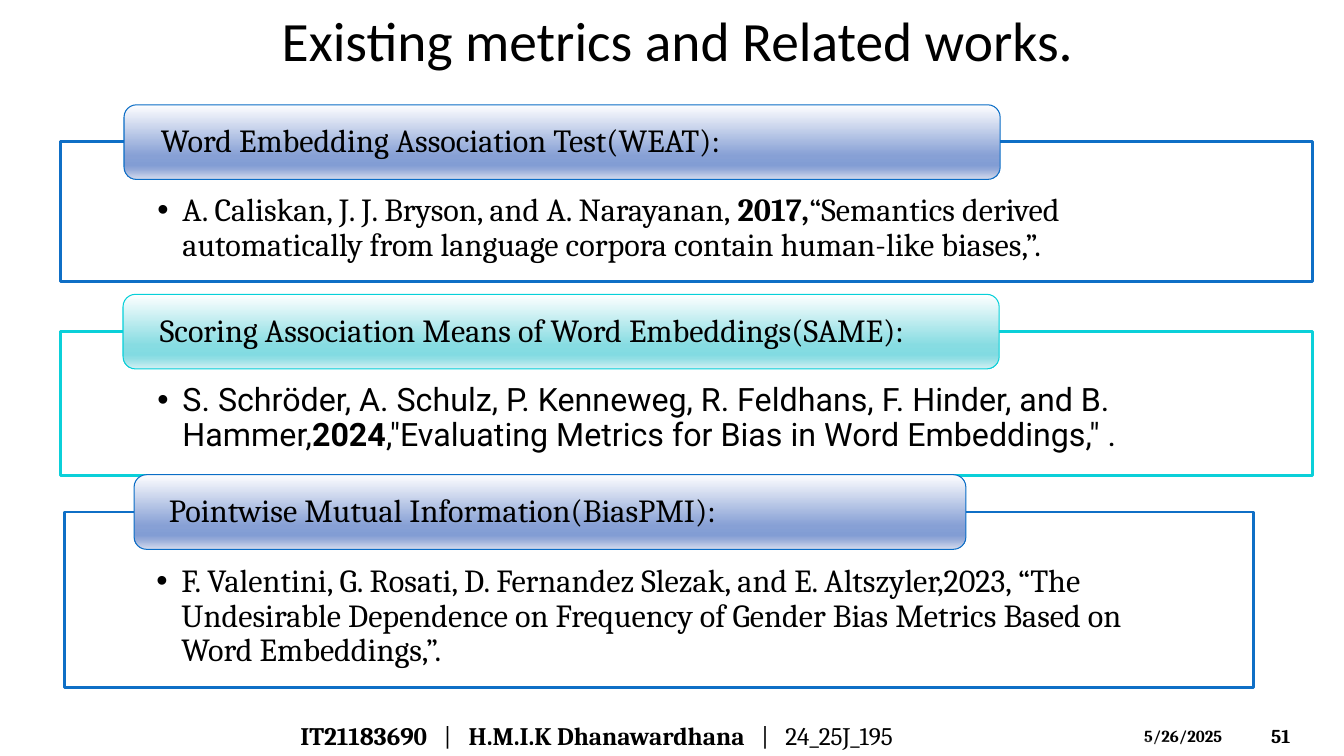
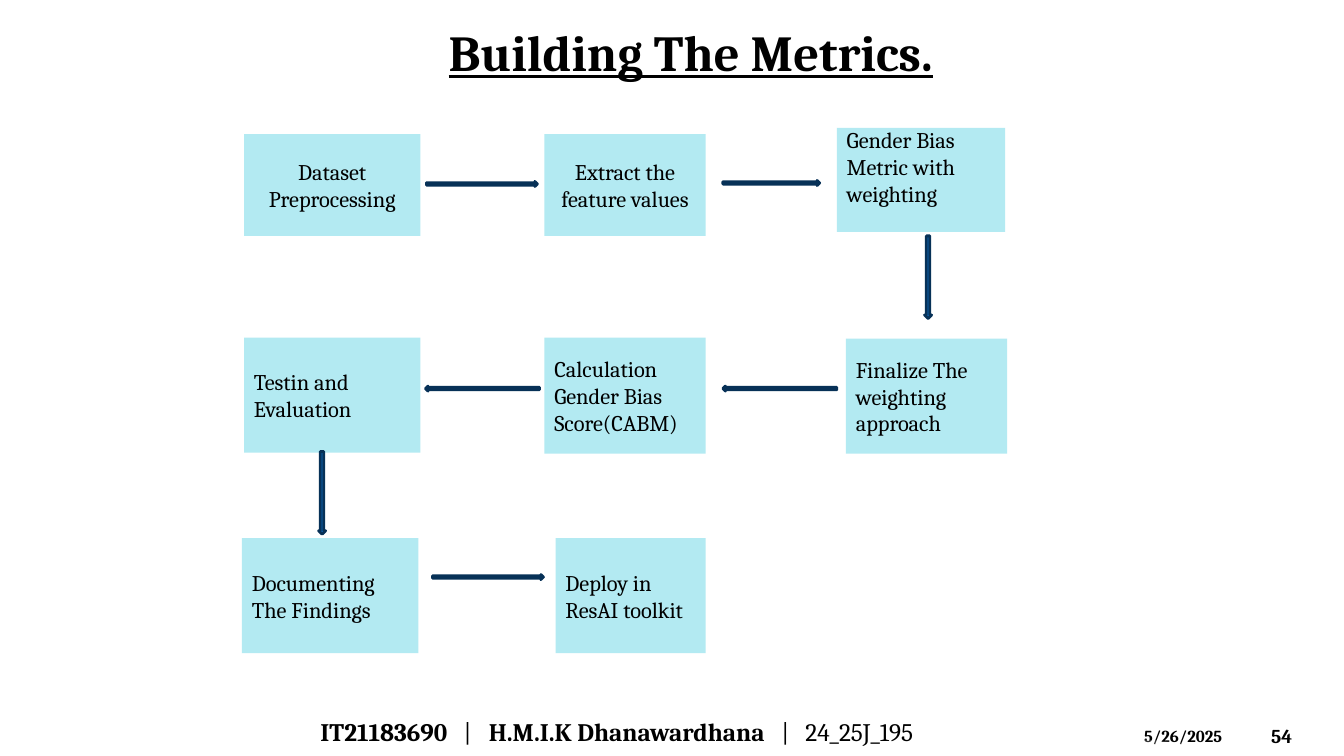
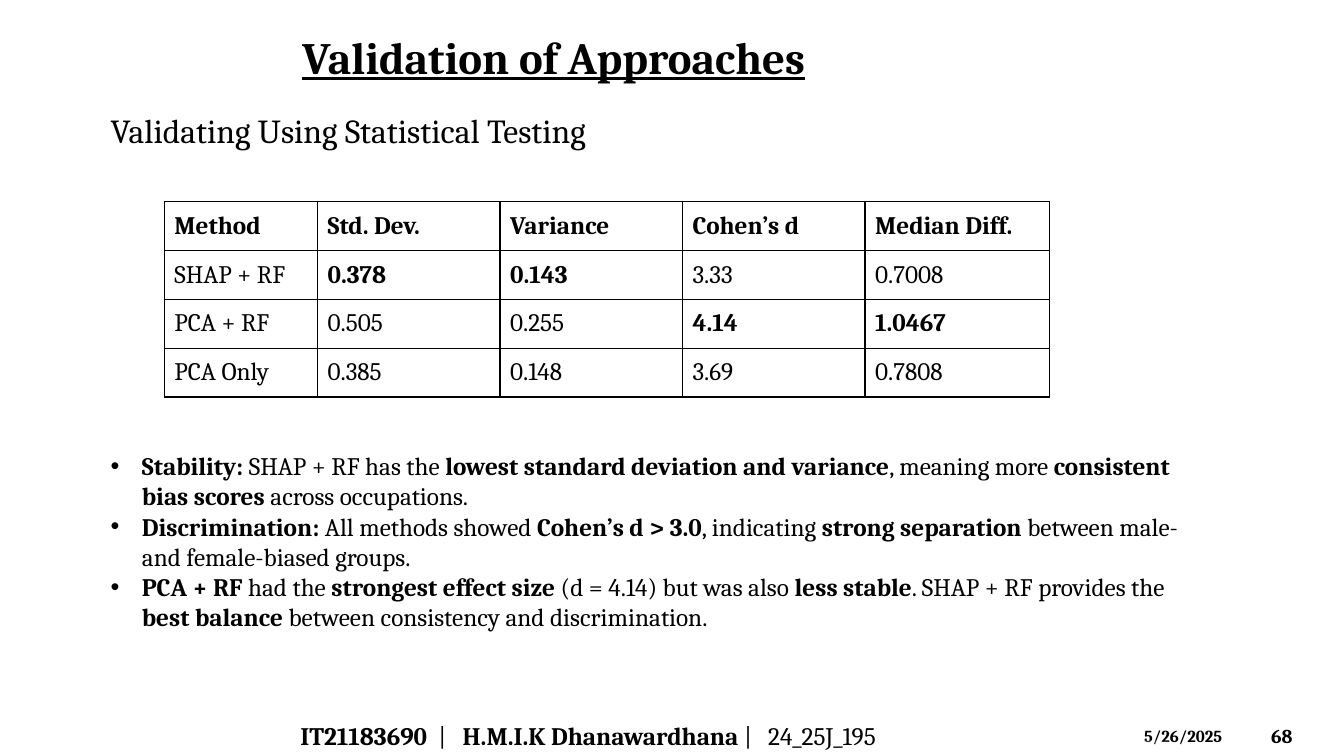
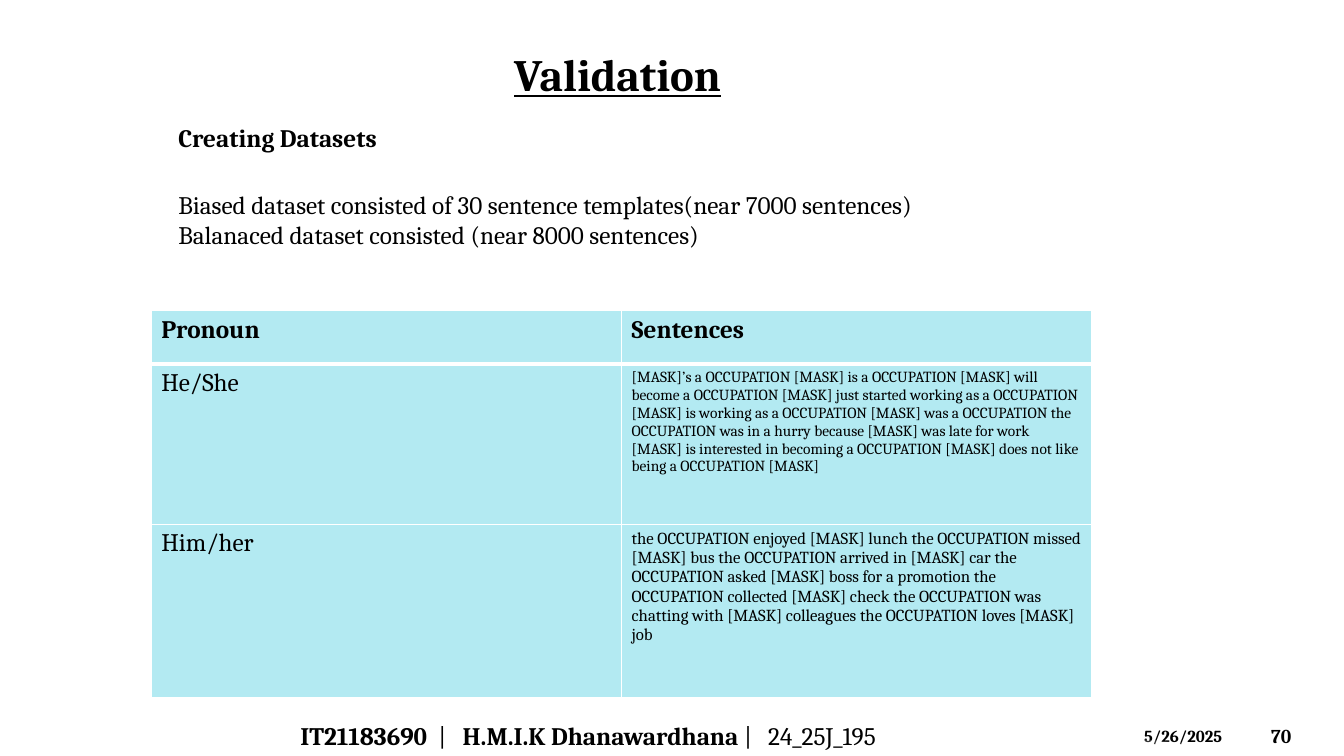
from dataclasses import dataclass
from itertools import product
from typing import NamedTuple, Optional

from lxml.etree import SubElement
from pptx import Presentation
from pptx.dml.color import RGBColor
from pptx.enum.shapes import MSO_SHAPE
from pptx.enum.text import MSO_ANCHOR, MSO_AUTO_SIZE, PP_ALIGN
from pptx.oxml.ns import qn
from pptx.shapes.autoshape import Shape
from pptx.slide import Slide
from pptx.table import Table
from pptx.text.text import TextFrame
from pptx.util import Emu, Inches, Pt

# Shared look
SERIF = "Cambria"
BLACK, WHITE = "000000", "FFFFFF"
BLUE, TURQUOISE, NAVY, PALE = "0F6FC6", "0BD0D9", "073157", "B3EAF2"
MIDDLE, TOP = MSO_ANCHOR.MIDDLE, MSO_ANCHOR.TOP


class Box(NamedTuple):
    left: float
    top: float
    width: float
    height: float

    def lengths(self) -> tuple[Emu, ...]:
        return tuple(Inches(value) for value in self)


class Insets(NamedTuple):
    left: float = 0.1
    top: float = 0.05
    right: float = 0.1
    bottom: float = 0.05


@dataclass(frozen=True)
class Style:
    """How the paragraphs of one text frame look."""
    size: float = 18
    font: str = SERIF
    bold: Optional[bool] = None
    underline: Optional[bool] = None
    align: PP_ALIGN = PP_ALIGN.LEFT
    spacing: Optional[float] = None
    bullet_indent: float = 0
    tabs: tuple[tuple[float, str], ...] = ()


def color(value: str) -> RGBColor:
    return RGBColor.from_string(value)


# Text: spans between asterisks are bold
def write(frame: TextFrame, lines: list[str], style: Style,
          anchor: MSO_ANCHOR = TOP, insets: Insets = Insets()) -> None:
    frame.word_wrap = True
    frame.auto_size = MSO_AUTO_SIZE.NONE
    frame.vertical_anchor = anchor
    frame.margin_left, frame.margin_top, frame.margin_right, frame.margin_bottom = map(Inches, insets)
    write_lines(frame, lines, style)


def write_lines(frame: TextFrame, lines: list[str], style: Style) -> None:
    for number, line in enumerate(lines):
        para = frame.add_paragraph() if number else frame.paragraphs[0]
        para.alignment = style.align
        if style.spacing:
            para.line_spacing = style.spacing
        properties = para._p.get_or_add_pPr()
        if style.bullet_indent:
            indent = Inches(style.bullet_indent)
            properties.set("marL", str(indent))
            properties.set("indent", str(-indent))
            SubElement(properties, qn("a:buFont"), typeface="Arial")
            SubElement(properties, qn("a:buChar"), char="•")
        if style.tabs:
            stops = SubElement(properties, qn("a:tabLst"))
            for position, kind in style.tabs:
                SubElement(stops, qn("a:tab"), pos=str(Inches(position)), algn=kind)
        font = para.font
        font.name, font.size = style.font, Pt(style.size)
        font.bold, font.underline = style.bold, style.underline
        font.color.rgb = color(BLACK)
        for position, text in enumerate(line.split("*")):
            if text:
                span = para.add_run()
                span.text = text
                if position % 2:
                    span.font.bold = True


def add_text(page: Slide, box: Box, lines: list[str], style: Style = Style(),
             anchor: MSO_ANCHOR = TOP) -> None:
    write(page.shapes.add_textbox(*box.lengths()).text_frame, lines, style, anchor)


def add_block(page: Slide, kind: MSO_SHAPE, box: Box, fill: str,
              line: Optional[str] = None, line_width: float = 2) -> Shape:
    shape = page.shapes.add_shape(kind, *box.lengths())
    shape.shadow.inherit = False
    shape.fill.solid()
    shape.fill.fore_color.rgb = color(fill)
    if line:
        shape.line.color.rgb = color(line)
        shape.line.width = Pt(line_width)
    else:
        shape.line.fill.background()
    return shape


# Page frame: title, footer, date, number and translucent bottom bands
HEADING = Style(32, bold=True, underline=True)
WIDE_TABS = ((1.46, "ctr"), (1.67, "l"), (4.61, "ctr"), (4.81, "l"))
TIGHT_TABS = ((1.41, "ctr"), (1.61, "l"), (4.44, "ctr"), (4.64, "l"))
BANDS = ((Box(0, 7.09, 13.33, 0.41), 0.63), (Box(0, 7.3, 13.33, 0.2), 0.39))


def add_band(page: Slide, box: Box, peak: float) -> None:
    band = add_block(page, MSO_SHAPE.ISOSCELES_TRIANGLE, box, WHITE)
    band.adjustments[0] = peak
    tint = band._element.spPr.find(qn("a:solidFill")).find(qn("a:srgbClr"))
    SubElement(tint, qn("a:alpha"), val="20000")


def add_page(deck: Presentation, title: str, title_box: Box, title_style: Style, number: int,
             tabs: tuple[tuple[float, str], ...], footer_at: tuple[float, float] = (2.88, 7.1)) -> Slide:
    page = deck.slides.add_slide(deck.slide_layouts[5])
    heading = page.shapes.title
    heading.left, heading.top, heading.width, heading.height = title_box.lengths()
    write(heading.text_frame, [title], title_style)
    add_text(page, Box(12.51, 7.1, 0.74, 0.4), [str(number)], Style(14, bold=True), MIDDLE)
    add_text(page, Box(11.25, 7.15, 1.17, 0.3), ["5/26/2025"], Style(12, bold=True))
    for box, peak in BANDS:
        add_band(page, box, peak)
    add_text(page, Box(*footer_at, 7.45, 0.4),
             ["*IT21183690*\t|\t*H.M.I.K Dhanawardhana*\t|\t24_25J_195"], Style(tabs=tabs), MIDDLE)
    return page


# Related works: cards with a gradient tab
@dataclass(frozen=True)
class Theme:
    frame: str
    tab_line: str
    shades: tuple[str, ...]


BLUE_THEME = Theme(BLUE, "0A6DC6", ("FEFEFF", "87A0D5", "829DD4", "91A7D7", "D4DBED"))
TURQUOISE_THEME = Theme(TURQUOISE, "06D0D9", ("FEFFFF", "87DCE2", "82DBE2", "90DEE4", "D3F0F3"))
SHADE_STOPS = (0, 68, 81, 86, 100)


@dataclass(frozen=True)
class Card:
    heading: str
    reference: str
    frame: Box
    tab: Box
    theme: Theme
    frame_inset: float = 0.96
    tab_inset: float = 0.33
    font: str = SERIF


CARDS = (
    Card("Word Embedding Association Test(WEAT):",
         "A. Caliskan, J. J. Bryson, and A. Narayanan, *2017,*“Semantics derived automatically "
         "from language corpora contain human-like biases,”.",
         Box(0.6, 1.4, 12.42, 1.39), Box(1.23, 1.04, 8.69, 0.74), BLUE_THEME),
    Card("Scoring Association Means of Word Embeddings(SAME):",
         "S. Schröder, A. Schulz, P. Kenneweg, R. Feldhans, F. Hinder, and B. Hammer,*2024*,"
         "\"Evaluating Metrics for Bias in Word Embeddings,\" .",
         Box(0.6, 3.29, 12.42, 1.43), Box(1.22, 2.92, 8.69, 0.74), TURQUOISE_THEME, font="Roboto"),
    Card("Pointwise Mutual Information(BiasPMI):",
         "F. Valentini, G. Rosati, D. Fernandez Slezak, and E. Altszyler,2023, “The Undesirable "
         "Dependence on Frequency of Gender Bias Metrics Based on Word Embeddings,”.",
         Box(0.64, 5.08, 11.79, 1.74), Box(1.33, 4.71, 8.25, 0.74), BLUE_THEME, 0.91, 0.31),
)


def shade(shape: Shape, shades: tuple[str, ...]) -> None:
    shape.fill.gradient()
    shape.fill.gradient_angle = 270
    stops = shape._element.spPr.find(".//" + qn("a:gsLst"))
    stops.clear()
    for position, value in zip(SHADE_STOPS, shades):
        stop = SubElement(stops, qn("a:gs"), pos=str(position * 1000))
        SubElement(stop, qn("a:srgbClr"), val=value)


def add_card(page: Slide, card: Card) -> None:
    frame = add_block(page, MSO_SHAPE.RECTANGLE, card.frame, WHITE, card.theme.frame)
    write(frame.text_frame, [card.reference], Style(23, card.font, spacing=0.9, bullet_indent=0.25),
          insets=Insets(card.frame_inset, 0.52, card.frame_inset, 0.18))
    tab = add_block(page, MSO_SHAPE.ROUNDED_RECTANGLE, card.tab, WHITE, card.theme.tab_line, 0.75)
    shade(tab, card.theme.shades)
    write(tab.text_frame, [card.heading], Style(23, spacing=0.9), MIDDLE,
          Insets(card.tab_inset, 0, card.tab_inset, 0))


def related_works(deck: Presentation) -> None:
    page = add_page(deck, "Existing metrics and Related works.", Box(0.33, 0.01, 12.78, 0.76),
                    Style(39.6, "Calibri", align=PP_ALIGN.CENTER), 51, WIDE_TABS)
    for card in CARDS:
        add_card(page, card)


# Building the metrics: steps on a grid of columns and rows
COLUMNS = ((2.42, 1.75), (5.4, 1.6), (8.39, 1.6))
ROWS = ((1.33, 1.01), (3.35, 1.15), (5.34, 1.14))


@dataclass(frozen=True)
class Step:
    text: str
    column: int
    row: int
    align: PP_ALIGN = PP_ALIGN.LEFT
    insets: Insets = Insets()
    edge_shift: Insets = Insets(0, 0, 0, 0)

    def box(self) -> Box:
        (left, width), (top, height) = COLUMNS[self.column], ROWS[self.row]
        shift = self.edge_shift
        return Box(left + shift.left, top + shift.top,
                   width + shift.right - shift.left, height + shift.bottom - shift.top)


STEPS = (
    Step("Dataset Preprocessing", 0, 0, PP_ALIGN.CENTER),
    Step("Extract the feature values", 1, 0, PP_ALIGN.CENTER),
    Step("Gender Bias Metric with weighting", 2, 0, insets=Insets(bottom=0.32),
         edge_shift=Insets(-0.09, -0.06, -0.02, -0.04)),
    Step("Finalize The weighting approach", 2, 1, edge_shift=Insets(0, 0.01, 0, 0)),
    Step("Calculation Gender Bias Score(CABM)", 1, 1),
    Step("Testin and Evaluation", 0, 1, edge_shift=Insets(0, 0, 0, -0.01)),
    Step("Documenting The Findings", 0, 2, edge_shift=Insets(-0.02, 0, -0.02, 0)),
    Step("Deploy in ResAI toolkit", 1, 2, edge_shift=Insets(0.11, 0, 0, 0)),
)


class Arrow(NamedTuple):
    kind: MSO_SHAPE
    left: float
    top: float
    length: float
    fill: str = BLUE

    def box(self) -> Box:
        if self.kind == MSO_SHAPE.DOWN_ARROW:
            return Box(self.left, self.top, 0.07, self.length)
        return Box(self.left, self.top, self.length, 0.05)


CHARCOAL = "262626"
ARROWS = (
    Arrow(MSO_SHAPE.RIGHT_ARROW, 4.23, 1.8, 1.1, CHARCOAL),
    Arrow(MSO_SHAPE.RIGHT_ARROW, 7.17, 1.79, 0.96),
    Arrow(MSO_SHAPE.DOWN_ARROW, 9.17, 2.34, 0.82),
    Arrow(MSO_SHAPE.LEFT_ARROW, 7.17, 3.83, 1.13),
    Arrow(MSO_SHAPE.LEFT_ARROW, 4.22, 3.83, 1.13),
    Arrow(MSO_SHAPE.DOWN_ARROW, 3.16, 4.48, 0.82),
    Arrow(MSO_SHAPE.RIGHT_ARROW, 4.29, 5.7, 1.1, CHARCOAL),
)


def building_metrics(deck: Presentation) -> None:
    page = add_page(deck, "Building The Metrics.", Box(4.35, 0.16, 6.67, 0.71),
                    Style(36, bold=True, underline=True), 54, WIDE_TABS, (3.08, 7.06))
    for step in STEPS:
        block = add_block(page, MSO_SHAPE.RECTANGLE, step.box(), PALE)
        write(block.text_frame, [step.text], Style(16, align=step.align), MIDDLE, step.insets)
    for arrow in ARROWS:
        add_block(page, arrow.kind, arrow.box(), arrow.fill, NAVY)


# Tables
def set_border(table: Table, row: int, column: int, side: str, value: str, width: float) -> None:
    properties = table.cell(row, column)._tc.get_or_add_tcPr()
    line = SubElement(properties, qn(f"a:ln{side}"), w=str(Pt(width)))
    SubElement(SubElement(line, qn("a:solidFill")), qn("a:srgbClr"), val=value)


def add_grid(page: Slide, box: Box, widths: list[float], heights: list[float],
             texts: list[list[str]], border: str, header_rule: float = 1,
             fill: Optional[str] = None, anchor: MSO_ANCHOR = TOP,
             sizes: Optional[dict[tuple[int, int], float]] = None) -> None:
    table = page.shapes.add_table(len(heights), len(widths), *box.lengths()).table
    table.first_row = table.horz_banding = False
    for column, width in zip(table.columns, widths):
        column.width = Inches(width)
    for row, height in zip(table.rows, heights):
        row.height = Inches(height)
    for row, column in product(range(len(heights)), range(len(widths))):
        cell = table.cell(row, column)
        cell.vertical_anchor = anchor
        size = (sizes or {}).get((row, column), 18)
        write_lines(cell.text_frame, [texts[row][column]], Style(size, bold=True if row == 0 else None))
        for side in "LRTB":
            under_header = (row, side) in ((0, "B"), (1, "T"))
            set_border(table, row, column, side, border, header_rule if under_header else 1)
        if fill:
            cell.fill.solid()
            cell.fill.fore_color.rgb = color(fill)
        else:
            cell.fill.background()


RESULTS = [
    ["Method", "Std. Dev.", "Variance", "Cohen’s d", "Median Diff."],
    ["SHAP + RF", "*0.378*", "*0.143*", "3.33", "0.7008"],
    ["PCA + RF", "0.505", "0.255", "*4.14*", "*1.0467*"],
    ["PCA Only", "0.385", "0.148", "3.69", "0.7808"],
]
FINDINGS = [
    "*Stability:* SHAP + RF has the *lowest standard deviation and variance*, meaning more "
    "*consistent bias scores* across occupations.",
    "*Discrimination:* All methods showed *Cohen’s d > 3.0*, indicating *strong separation* "
    "between male- and female-biased groups.",
    "*PCA + RF* had the *strongest effect size* (d = 4.14) but was also *less stable*. "
    "SHAP + RF provides the *best balance* between consistency and discrimination.",
]
SENTENCES = [
    ["Pronoun", "Sentences"],
    ["He/She",
     "[MASK]’s a OCCUPATION [MASK] is a OCCUPATION [MASK] will become a OCCUPATION [MASK] just "
     "started working as a OCCUPATION [MASK] is working as a OCCUPATION [MASK] was a OCCUPATION "
     "the OCCUPATION was in a hurry because [MASK] was late for work [MASK] is interested in "
     "becoming a OCCUPATION [MASK] does not like being a OCCUPATION [MASK]"],
    ["Him/her",
     "the OCCUPATION enjoyed [MASK] lunch the OCCUPATION missed [MASK] bus the OCCUPATION arrived "
     "in [MASK] car the OCCUPATION asked [MASK] boss for a promotion the OCCUPATION collected "
     "[MASK] check the OCCUPATION was chatting with [MASK] colleagues the OCCUPATION loves [MASK] job"],
]


def validation_of_approaches(deck: Presentation) -> None:
    page = add_page(deck, "Validation of Approaches", Box(2.16, 0.24, 6.67, 0.64),
                    Style(32, bold=True, underline=True, align=PP_ALIGN.CENTER), 68, TIGHT_TABS)
    add_text(page, Box(1, 1.04, 6.67, 0.5), ["Validating Using Statistical Testing"], Style(24))
    table_box = Box(1.63, 2, 8.78, 1.94)
    add_grid(page, table_box, [1.52, 1.81, 1.81, 1.81, 1.83],
             [table_box.height / len(RESULTS)] * len(RESULTS), RESULTS, BLACK, anchor=MIDDLE)
    add_text(page, Box(1, 4.42, 10.83, 1.92), FINDINGS, Style(bullet_indent=0.31))


def validation(deck: Presentation) -> None:
    page = add_page(deck, "Validation", Box(5, 0.41, 2.92, 0.64), HEADING, 70, TIGHT_TABS)
    add_text(page, Box(1.67, 1.16, 2.42, 0.4), ["Creating Datasets"], Style(bold=True))
    table_box = Box(1.5, 3.08, 9.33, 3.83)
    add_grid(page, table_box, [table_box.width / 2] * 2, [0.53, 1.59, 1.72], SENTENCES, WHITE,
             header_rule=3, fill=PALE, sizes={(1, 1): 11, (2, 1): 12})
    add_text(page, Box(1.67, 1.83, 7.91, 0.71),
             ["Biased dataset consisted of 30 sentence templates(near 7000 sentences)",
              "Balanaced dataset consisted (near 8000 sentences)"])


def main() -> None:
    deck = Presentation()
    deck.slide_width, deck.slide_height = Inches(13.33), Inches(7.5)
    for build in (related_works, building_metrics, validation_of_approaches, validation):
        build(deck)
    deck.save("out.pptx")


if __name__ == "__main__":
    main()
